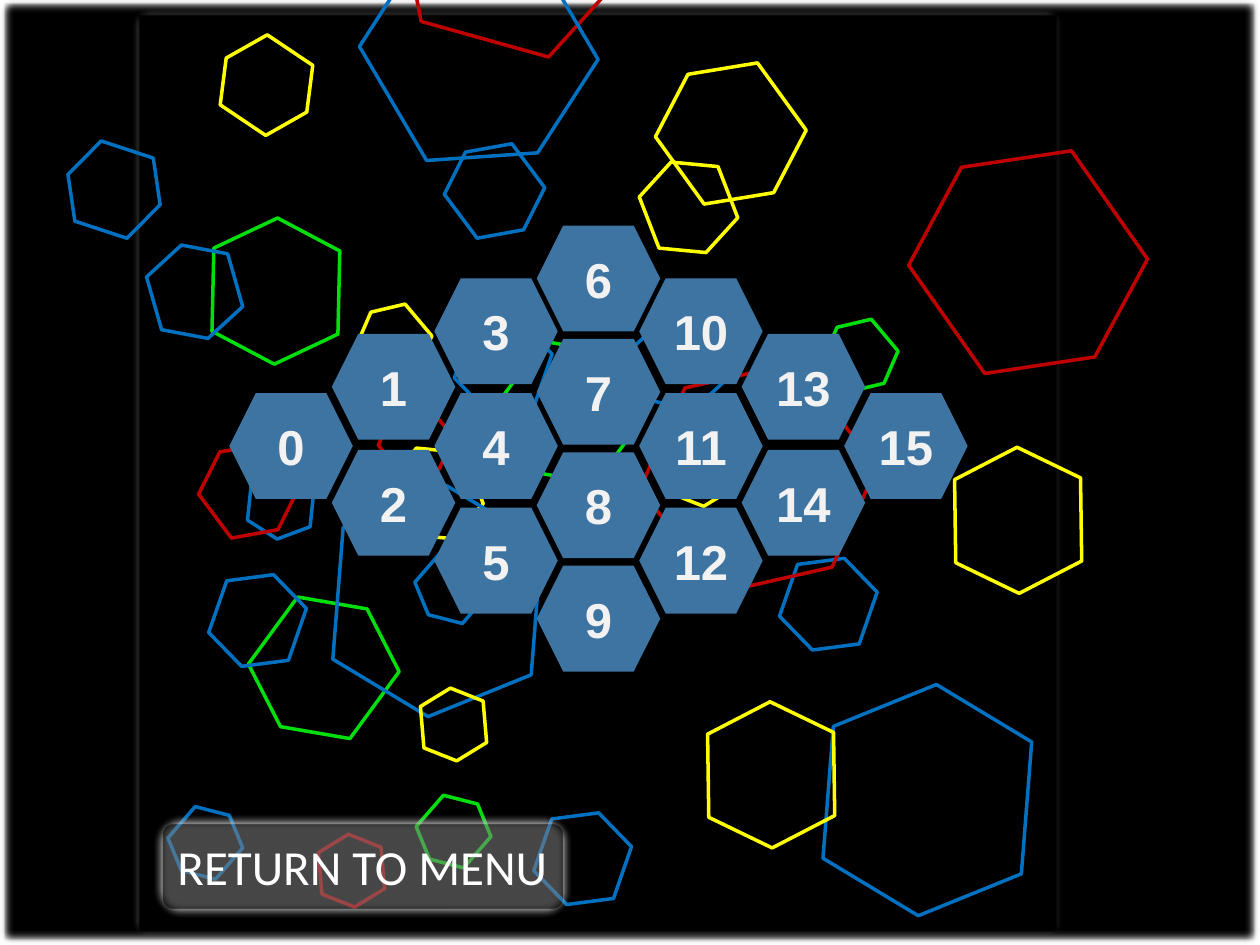
from pptx import Presentation
from pptx import util as u
from pptx.dml.color import RGBColor
from pptx.enum import shapes, text
from pptx.oxml import parse_xml
from pptx.oxml.ns import nsdecls, qn
from lxml import etree

Inches = u.Inches
theme = {
    "black": "000000", "edge": "BFBFBF", "tile": "3D74A1", "digit": "F2F2F2",
    "menu": "808080", "white": "FFFFFF", "red": "C00000", "green": "00DE0B",
    "blue": "0070C0", "gold": "FFFF00", "size": 28,
    "head": "Arial", "body": "Calibri",
}
kind = shapes.MSO_SHAPE


def draw(home, form, box, fill=None, line=None, width=2, soft=False):
    item = home.add_shape(form, *[Inches(n) for n in box])
    item.shadow.inherit = False
    if fill:
        item.fill.solid()
        item.fill.fore_color.rgb = RGBColor.from_string(theme[fill])
    else:
        item.fill.background()
    if line:
        item.line.color.rgb = RGBColor.from_string(theme[line])
        item.line.width = u.Pt(width)
    else:
        item.line.fill.background()
    if soft:
        blur = parse_xml(f'<a:softEdge {nsdecls("a")} rad="63500"/>')
        item._element.spPr.find(qn("a:effectLst")).append(blur)
    return item


def label(item, words, font, color, bold):
    frame = item.text_frame
    frame.margin_left = frame.margin_right = 0
    frame.margin_top = frame.margin_bottom = 0
    frame.word_wrap = False
    frame.vertical_anchor = text.MSO_ANCHOR.MIDDLE
    frame.text = words
    para = frame.paragraphs[0]
    para.alignment = text.PP_ALIGN.CENTER
    run = para.runs[0].font
    run.name = theme[font]
    run.size = u.Pt(theme["size"])
    run.bold = bold
    run.color.rgb = RGBColor.from_string(theme[color])


deck = Presentation()
deck.slide_width, deck.slide_height = Inches(10), Inches(7.5)
slide = deck.slides.add_slide(deck.slide_layouts[6])
board = slide.shapes

for box in [(0, 0, 10, 7.5), (1.07, 0.08, 7.35, 7.35)]:
    draw(board, kind.RECTANGLE, box, "black", "edge", 4.5, True)

sizes = {"S": (0.58, 0.5), "M": (0.77, 0.67), "L": (1.16, 1), "XL": (1.84, 1.58)}
rings = [
    (4.46, 4.63, "S", 265.1, "red"),
    (3.94, 2.77, "L", 306.3, "green"),
    (6.19, 4.46, "M", 289.2, "blue"),
    (7.24, 1.29, "XL", 234.9, "red"),
    (5.08, 1.31, "M", 248.9, "gold"),
    (7.5, 3.63, "L", 89.2, "gold"),
    (3.54, 1.18, "M", 233.2, "blue"),
    (3.3, 4.41, "S", 311, "blue"),
    (6.44, 5.56, "XL", 274.5, "blue"),
    (5.27, 3.48, "S", 265.1, "gold"),
    (3.61, 2.57, "M", 289.2, "blue"),
    (3.01, 3.25, "S", 230, "red"),
    (1.61, 1.81, "L", 271.3, "green"),
    (5.02, 2.54, "M", 254.1, "blue"),
    (3.14, -1.24, "XL", 195.6, "red"),
    (1.73, 0.34, "M", 213.9, "gold"),
    (5.22, 0.56, "L", 54.1, "gold"),
    (0.52, 1.17, "M", 198.2, "blue"),
    (1.94, 3.74, "S", 276, "blue"),
    (2.88, -0.37, "XL", 239.5, "blue"),
    (2.84, 2.45, "S", 230, "gold"),
    (1.16, 1.98, "M", 254.1, "blue"),
    (2.5, 6.66, "S", 265.1, "red"),
    (1.99, 4.8, "L", 306.3, "green"),
    (4.24, 6.48, "M", 289.2, "blue"),
    (5.1, 3, "XL", 230.6, "red"),
    (3.06, 3.58, "M", 248.9, "gold"),
    (5.54, 5.65, "L", 89.2, "gold"),
    (1.59, 3.56, "M", 233.2, "red"),
    (1.34, 6.44, "S", 311, "blue"),
    (2.55, 3.98, "XL", 274.5, "blue"),
    (3.31, 5.5, "S", 265.1, "gold"),
    (1.66, 4.59, "M", 289.2, "blue"),
    (6.54, 2.57, "S", 230, "green"),
    (3.31, 6.35, "S", 311, "green"),
]
for left, top, size, turn, color in rings:
    ring = draw(board, kind.HEXAGON, (left, top, *sizes[size]), line=color)
    ring.rotation = turn

menu = draw(board, kind.ROUNDED_RECTANGLE, (1.25, 6.5, 3.25, 0.75),
            "menu", "edge", 6, True)
tint = menu._element.spPr.find(qn("a:solidFill"))[0]
etree.SubElement(tint, qn("a:alpha")).set("val", "56000")
label(menu, "RETURN TO MENU", "body", "white", False)

tiles = board.add_group_shape().shapes
columns = [(1, 3.12, 0), (2, 2.65, 0.92), (3, 2.21, 0.91), (4, 1.79, 0.9),
           (3, 2.21, 0.91), (2, 2.65, 0.92), (1, 3.12, 0)]
number = 0
for col, (count, top, step) in enumerate(columns):
    left = 1.82 + col * 4.88 / 6
    for row in range(count):
        tile = draw(tiles, kind.HEXAGON, (left, top + row * step, 0.98, 0.84), "tile")
        label(tile, str(number), "head", "digit", True)
        number += 1

deck.save("out.pptx")
